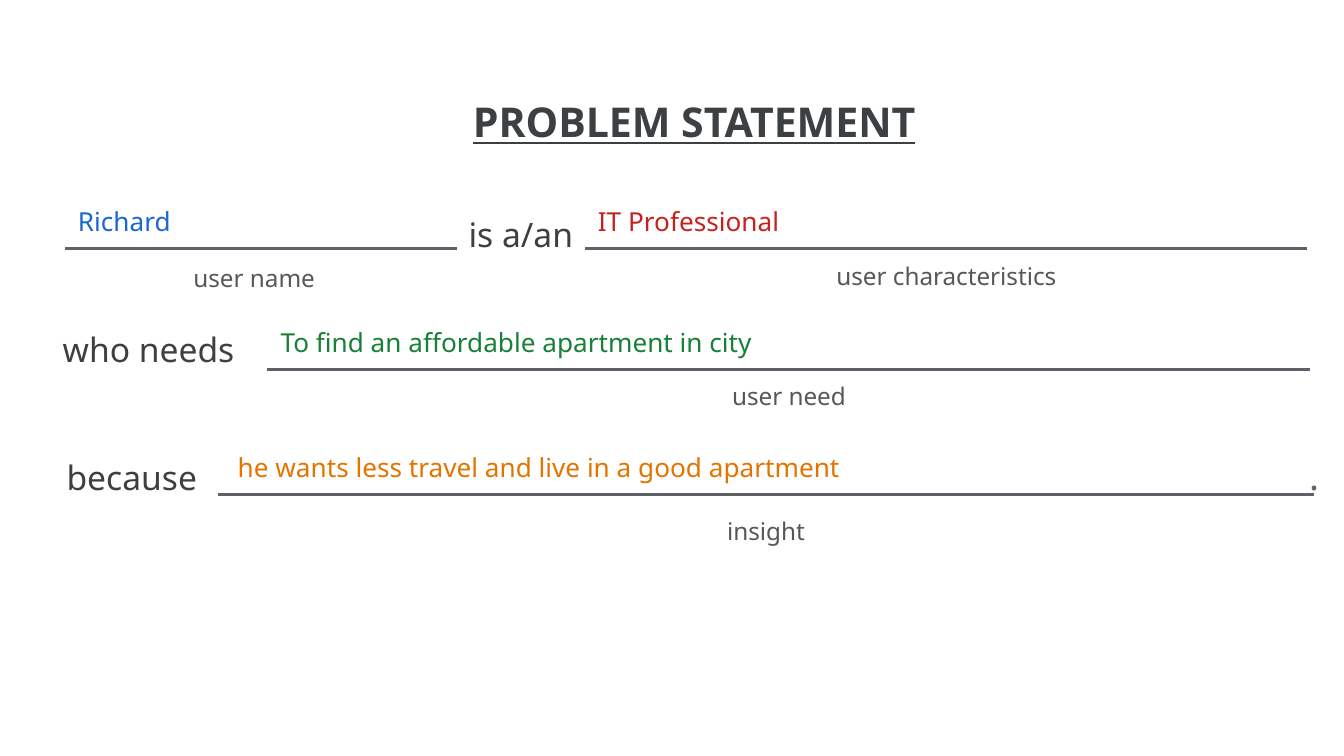
from pptx import Presentation
from pptx.dml.color import RGBColor
from pptx.enum.shapes import MSO_CONNECTOR
from pptx.enum.text import MSO_ANCHOR, PP_ALIGN as Align
from pptx.oxml.ns import qn
from pptx.util import Pt
from lxml.etree import SubElement

COLORS = {
    "background": "FFFFFF", "label": "3C4043", "hint": "575757",
    "line": "5E6268", "period": "646464", "name": "1967D2",
    "characteristics": "C5221F", "need": "188038", "insight": "E37400",
}


def color(name):
    """Return the named colour."""
    return RGBColor.from_string(COLORS[name])


def write_text(frame, text, size, fill, align=Align.CENTER, bold=False,
               underline=False, font="Noto Sans"):
    """Write one formatted paragraph into a text frame."""
    paragraph = frame.paragraphs[0]
    paragraph.alignment = align
    run = paragraph.add_run()
    run.text = text
    run.font.name, run.font.size = font, Pt(size)
    run.font.bold, run.font.underline = bold, underline
    run.font.color.rgb = color(fill)


class StatementSlide:
    """The style and the current slide."""

    inset = 7.2
    line_width = 1.5
    answer_height = 30.2

    def __init__(self, slide):
        """Keep the slide and paint its background."""
        self.slide = slide
        slide.background.fill.solid()
        slide.background.fill.fore_color.rgb = color("background")

    def text(self, text, left, top, width, height, inset=inset, **text_format):
        """Add a text box anchored at the top."""
        box = self.slide.shapes.add_textbox(
            Pt(left), Pt(top), Pt(width), Pt(height))
        frame = box.text_frame
        frame.word_wrap = True
        frame.vertical_anchor = MSO_ANCHOR.TOP
        frame.margin_left = frame.margin_right = Pt(inset)
        frame.margin_top = frame.margin_bottom = Pt(inset)
        write_text(frame, text, **text_format)

    def line(self, left, right, y):
        """Add a horizontal rule."""
        connector = self.slide.shapes.add_connector(
            MSO_CONNECTOR.STRAIGHT, Pt(left), Pt(y), Pt(right), Pt(y))
        connector.line.color.rgb = color("line")
        connector.line.width = Pt(self.line_width)
        SubElement(connector._element.spPr, qn("a:effectLst"))

    def blank(self, left, right, y, answer, fill, hint, hint_box):
        """Add a rule with its answer above and its hint below."""
        self.line(left, right, y)
        self.text(hint, *hint_box, size=13, fill="hint")
        self.text(answer, left, y - self.answer_height, right - left,
                  self.answer_height, size=14, fill=fill, align=Align.LEFT)


def build():
    """Build and save the problem statement slide."""
    presentation = Presentation()
    presentation.slide_width, presentation.slide_height = Pt(720), Pt(405)
    page = StatementSlide(
        presentation.slides.add_slide(presentation.slide_layouts[6]))

    page.text("PROBLEM STATEMENT", 31, 44.6, 681.8, 38.9, size=22,
              fill="label", bold=True, underline=True)

    labels = [
        ("is a/an", 244.8, 110.9, 68.4, 28.8, 3.6),
        ("who needs", 6.5, 169.2, 146.2, 45.4, 7.2),
        ("because", 6.5, 237.6, 128.2, 38.9, 7.2),
    ]
    for label in labels:
        page.text(*label, size=18, fill="label")
    page.text(".", 697.7, 239, 23, 31.7, 3.6, size=20, fill="period",
              align=Align.LEFT)

    blanks = [
        (34.6, 244.8, 133.2, "Richard", "name",
         "user name", (31, 133.9, 210.2, 25.2)),
        (313.2, 700, 133.2, "IT Professional", "characteristics",
         "user characteristics", (313.2, 132.5, 387.4, 25.2)),
        (143.3, 702, 198, "To find an affordable apartment in city", "need",
         "user need", (143.3, 197.3, 558.7, 37.4)),
        (116.6, 704.2, 265,
         " he wants less travel and live in a good apartment", "insight",
         "insight", (116.6, 269.3, 587.5, 45.4)),
    ]
    for blank in blanks:
        page.blank(*blank)

    presentation.save("out.pptx")


build()
